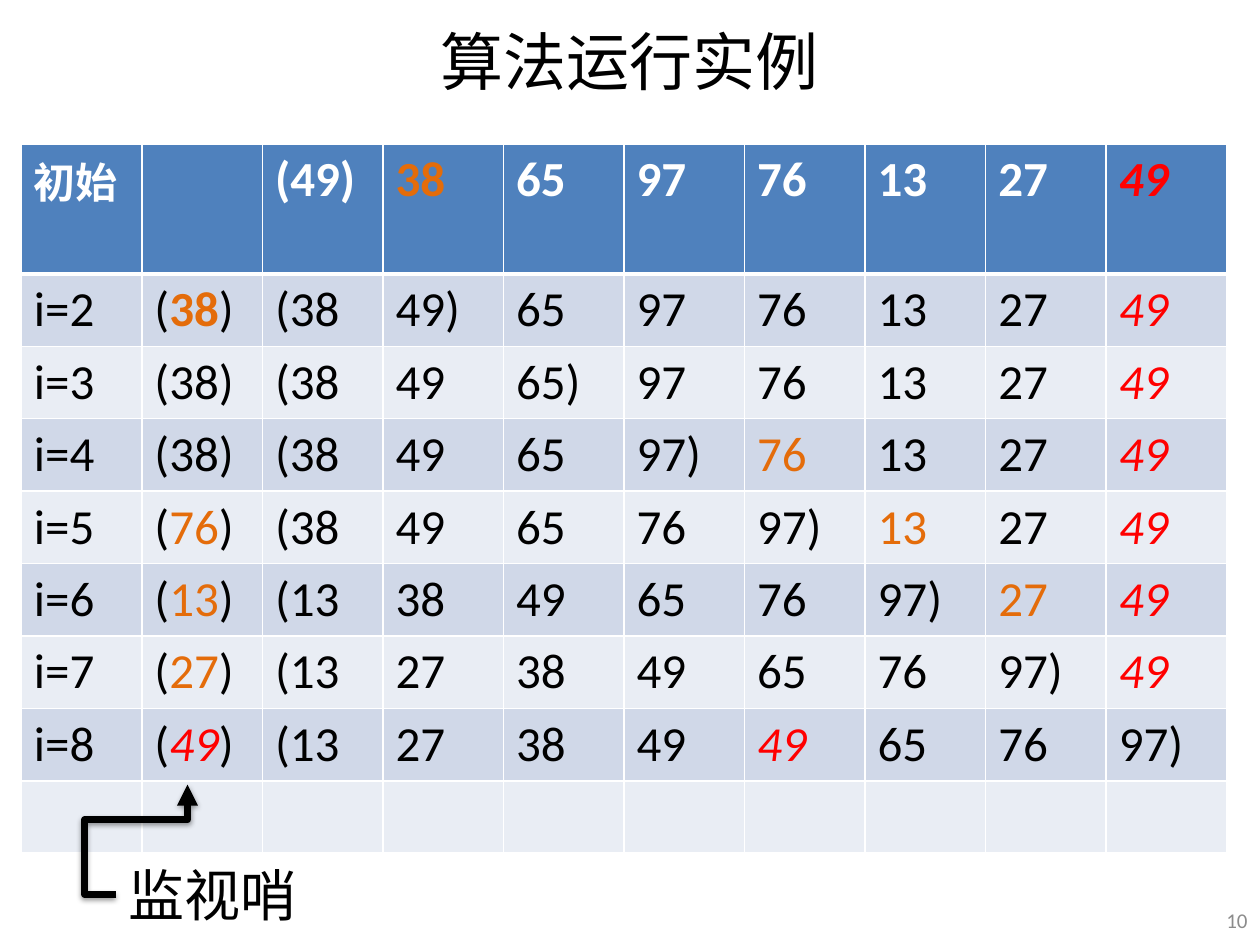
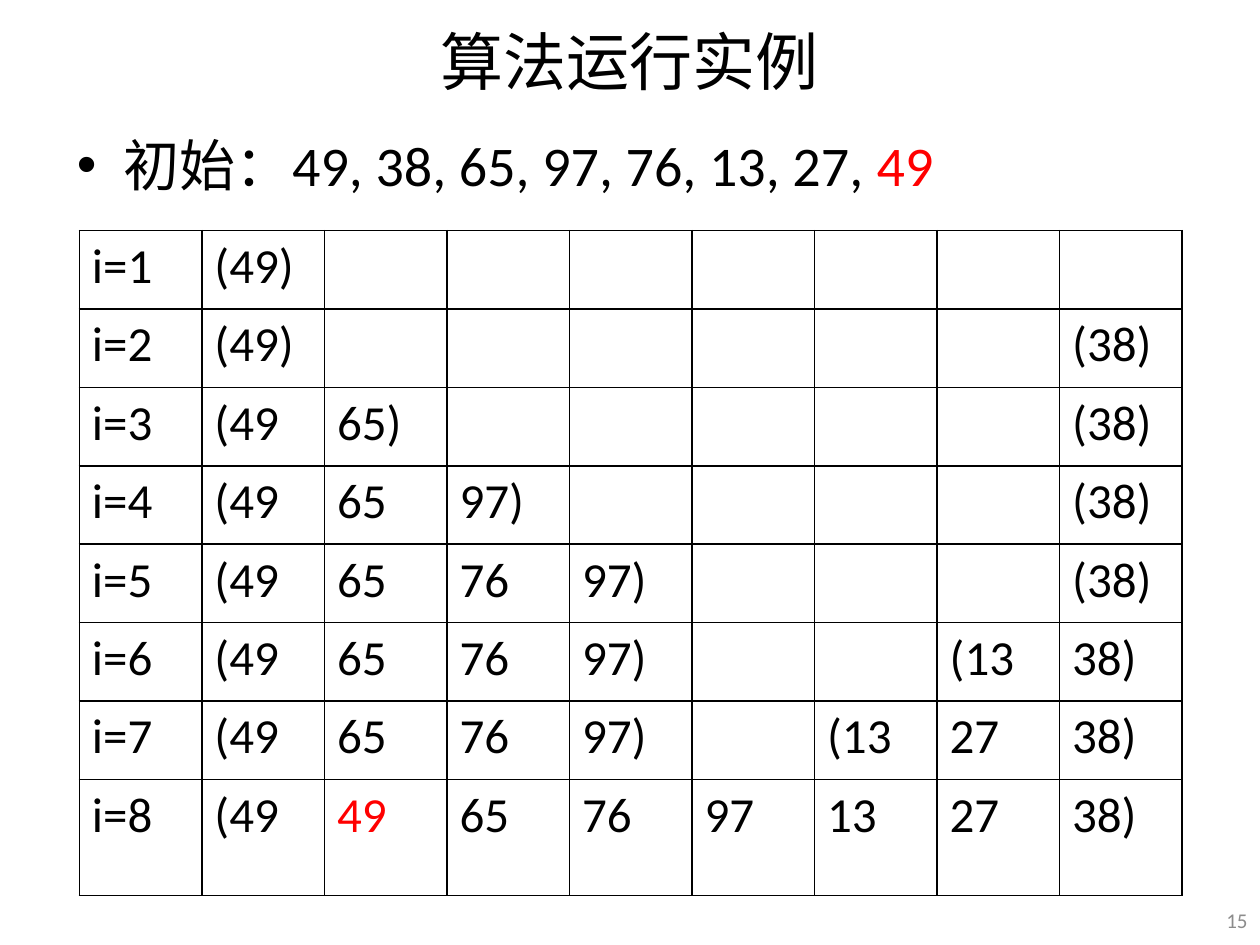
"""Builds two slides that trace insertion sort runs in tables."""
import dataclasses

import pptx
import pptx.dml.color
import pptx.enum.shapes
import pptx.enum.text
import pptx.oxml
import pptx.oxml.ns
import pptx.util

Cm = pptx.util.Cm
Pt = pptx.util.Pt
Align = pptx.enum.text.PP_ALIGN
Anchor = pptx.enum.text.MSO_ANCHOR
NS = pptx.oxml.ns.nsdecls("a")


@dataclasses.dataclass(frozen=True)
class Theme:
    font: str = "Calibri"
    black: str = "000000"
    white: str = "FFFFFF"
    gray: str = "8C8C8C"
    orange: str = "E46C0A"
    red: str = "FF0000"
    head: str = "4F81BD"
    bands: tuple = ("D0D8E8", "E9EDF4")
    title: int = 36
    body: int = 32
    cell: int = 28
    label: int = 24
    foot: int = 12


THEME = Theme()
MARKS = {
    "^": {"color": THEME.orange},
    "+": {"color": THEME.orange, "bold": True},
    "!": {"color": THEME.red, "italic": True},
    "~": {"color": THEME.red},
}

GUARD_ROWS = """
初始 - (49) ^38 65 97 76 13 27 !49
i=2 (|+38|) (38 49) 65 97 76 13 27 !49
i=3 (38) (38 49 65) 97 76 13 27 !49
i=4 (38) (38 49 65 97) ^76 13 27 !49
i=5 (|^76|) (38 49 65 76 97) ^13 27 !49
i=6 (|^13|) (13 38 49 65 76 97) ^27 !49
i=7 (|^27|) (13 27 38 49 65 76 97) !49
i=8 (|!49|) (13 27 38 49 !49 65 76 97)
- - - - - - - - - -
"""
RING_ROWS = """
i=1 (49) - - - - - - -
i=2 (49) - - - - - - (38)
i=3 (49 65) - - - - - (38)
i=4 (49 65 97) - - - - (38)
i=5 (49 65 76 97) - - - (38)
i=6 (49 65 76 97) - - (13 38)
i=7 (49 65 76 97) - (13 27 38)
i=8 (49 ~49 65 76 97 13 27 38)
"""


def style(font, color=None, size=None, bold=None, italic=None):
    if color:
        font.color.rgb = pptx.dml.color.RGBColor.from_string(color)
    if size:
        font.name = THEME.font
        font.size = Pt(size)
    if bold is not None:
        font.bold = bold
    if italic is not None:
        font.italic = italic


def write(para, text, size, color=THEME.black, bold=None):
    style(para.font, color, size, bold)
    for piece in text.split("|"):
        mark = MARKS.get(piece[:1])
        run = para.add_run()
        run.text = piece[1:] if mark else piece
        if mark:
            style(run.font, **mark)


def add_text(slide, box, text, size, color=THEME.black, align=Align.LEFT,
             anchor=Anchor.TOP, wrap=True, bullet=False):
    frame = slide.shapes.add_textbox(*map(Cm, box)).text_frame
    frame.word_wrap = wrap
    frame.vertical_anchor = anchor
    para = frame.paragraphs[0]
    para.alignment = align
    if bullet:
        props = para._p.get_or_add_pPr()
        props.set("marL", str(Cm(0.95)))
        props.set("indent", str(Cm(-0.95)))
        props.append(pptx.oxml.parse_xml(f'<a:buFont {NS} typeface="Arial"/>'))
        props.append(pptx.oxml.parse_xml(f'<a:buChar {NS} char="•"/>'))
    write(para, text, size, color)


def add_slide(deck, number):
    slide = deck.slides.add_slide(deck.slide_layouts[6])
    add_text(slide, (1.27, -0.08, 22.86, 2.59), "算法运行实例", THEME.title,
             align=Align.CENTER, anchor=Anchor.MIDDLE)
    add_text(slide, (24.31, 18.03, 1.09, 1.02), str(number), THEME.foot,
             THEME.gray, Align.RIGHT, Anchor.MIDDLE)
    return slide


def add_edges(cell, color, top=1, bottom=1):
    props = cell._tc.get_or_add_tcPr()
    widths = {"lnL": 1, "lnR": 1, "lnT": top, "lnB": bottom}
    for spot, (side, width) in enumerate(widths.items()):
        props.insert(spot, pptx.oxml.parse_xml(
            f'<a:{side} {NS} w="{Pt(width)}"><a:solidFill>'
            f'<a:srgbClr val="{color}"/></a:solidFill></a:{side}>'))


def paint(cell, color):
    if color:
        cell.fill.solid()
        cell.fill.fore_color.rgb = pptx.dml.color.RGBColor.from_string(color)
    else:
        cell.fill.background()


def add_grid(slide, left, top, width, heights, source, banded):
    rows = [line.split() for line in source.strip().splitlines()]
    count = len(rows[0])
    table = slide.shapes.add_table(
        len(rows), count, Cm(left), Cm(top), Cm(width * count),
        Cm(sum(heights))).table
    table.first_row = table.horz_banding = banded
    for column in table.columns:
        column.width = Cm(width)
    for r, (row, height) in enumerate(zip(rows, heights)):
        table.rows[r].height = Cm(height)
        head = banded and r == 0
        fill = THEME.head if head else THEME.bands[(r - 1) % 2]
        for c, text in enumerate(row):
            cell = table.cell(r, c)
            paint(cell, fill if banded else None)
            add_edges(cell, THEME.white if banded else THEME.black,
                      3 if banded and r == 1 else 1, 3 if head else 1)
            if text != "-":
                write(cell.text_frame.paragraphs[0], text,
                      THEME.label if head and c == 0 else THEME.cell,
                      THEME.white if head else THEME.black, head or None)


def add_arrow(slide, start, end, bends):
    kind = pptx.enum.shapes.MSO_CONNECTOR.ELBOW
    arrow = slide.shapes.add_connector(kind, *map(Cm, start + end))
    arrow.line.width = Pt(4)
    arrow.line.color.rgb = pptx.dml.color.RGBColor.from_string(THEME.black)
    line = arrow.line._get_or_add_ln()
    line.append(pptx.oxml.parse_xml(f'<a:tailEnd {NS} type="triangle"/>'))
    props = arrow._element.spPr
    shape = props.find(pptx.oxml.ns.qn("a:prstGeom"))
    shape.set("prst", "bentConnector4")
    guides = shape.find(pptx.oxml.ns.qn("a:avLst"))
    if guides is None:
        guides = pptx.oxml.parse_xml(f"<a:avLst {NS}/>")
        shape.append(guides)
    for spot, bend in enumerate(bends, 1):
        guides.append(pptx.oxml.parse_xml(
            f'<a:gd {NS} name="adj{spot}" fmla="val {round(bend * 100000)}"/>'))
    props.append(pptx.oxml.parse_xml(
        f'<a:effectLst {NS}><a:outerShdw blurRad="{Pt(3.1)}" '
        f'dist="{Pt(1.6)}" dir="5400000" rotWithShape="0">'
        f'<a:srgbClr val="{THEME.black}"><a:alpha val="38000"/></a:srgbClr>'
        '</a:outerShdw></a:effectLst>'))


def main():
    deck = pptx.Presentation()
    deck.slide_width, deck.slide_height = Cm(25.4), Cm(19.05)

    guard = add_slide(deck, 10)
    add_grid(guard, 0.43, 2.9, 2.43, [2.62] + [1.46] * 8, GUARD_ROWS, True)
    add_text(guard, (2.34, 17.22, 3.94, 1.63), "监视哨", THEME.body, wrap=False)
    add_arrow(guard, (2.34, 18.03), (3.78, 15.82), (-0.44, 0.68))

    ring = add_slide(deck, 15)
    add_text(ring, (1.3, 2.51, 22.86, 1.9),
             "初始：49, 38, 65, 97, 76, 13, 27, |~49", THEME.body, bullet=True)
    add_grid(ring, 1.6, 4.65, 2.47, [1.58] * 7 + [2.34], RING_ROWS, False)
    deck.save("out.pptx")


if __name__ == "__main__":
    main()
